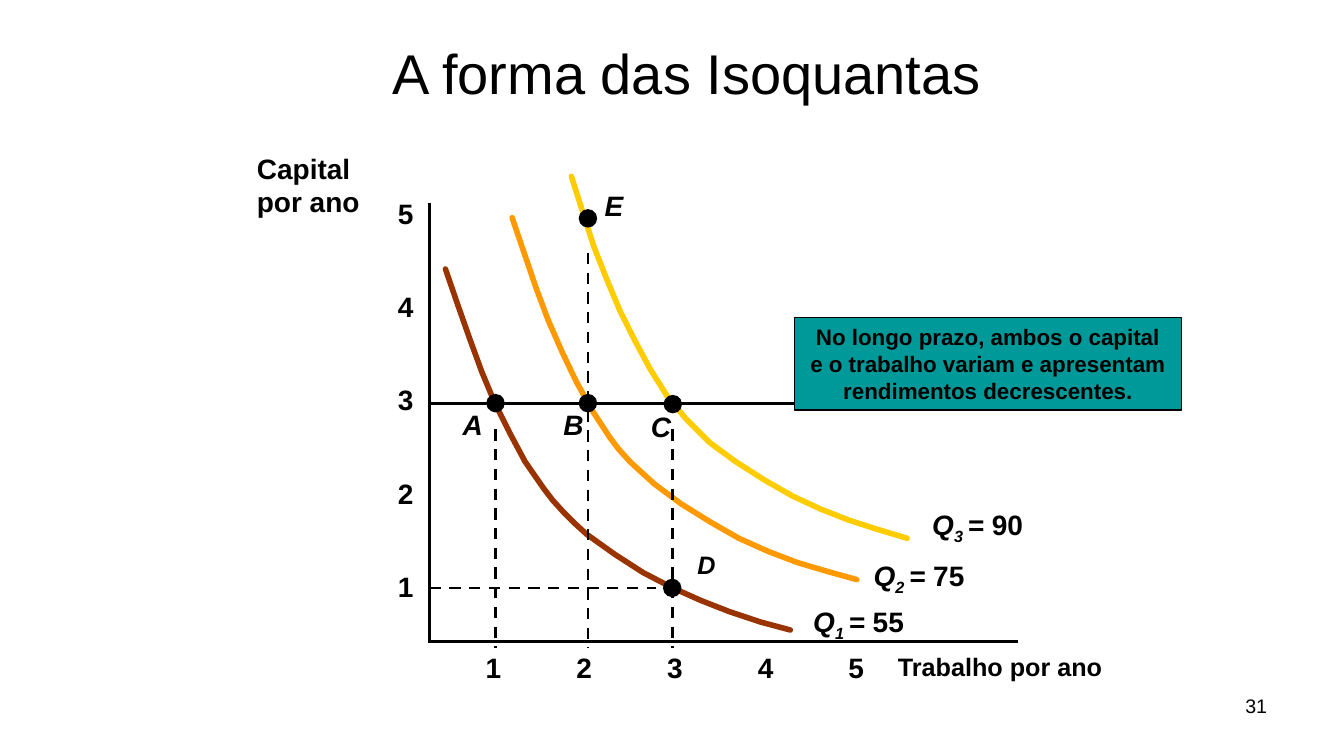
from dataclasses import dataclass

from pptx import Presentation
from pptx.dml.color import RGBColor
from pptx.enum.dml import MSO_LINE
from pptx.enum.shapes import MSO_CONNECTOR, MSO_SHAPE
from pptx.enum.text import MSO_ANCHOR, MSO_AUTO_SIZE, PP_ALIGN
from pptx.oxml.ns import qn
from pptx.util import Pt
from lxml import etree

DASH = MSO_LINE.DASH
STRAIGHT = MSO_CONNECTOR.STRAIGHT
RECT, OVAL = MSO_SHAPE.RECTANGLE, MSO_SHAPE.OVAL
TOP, MIDDLE, BOTTOM = MSO_ANCHOR.TOP, MSO_ANCHOR.MIDDLE, MSO_ANCHOR.BOTTOM
LEFT, CENTER, RIGHT = PP_ALIGN.LEFT, PP_ALIGN.CENTER, PP_ALIGN.RIGHT
GROW, FIXED = MSO_AUTO_SIZE.SHAPE_TO_FIT_TEXT, MSO_AUTO_SIZE.NONE


@dataclass(frozen=True)
class Theme:
    font: str = "Arial"
    ink: str = "000000"
    note: str = "009999"
    brown: str = "993300"
    orange: str = "FF9900"
    yellow: str = "FFCC00"
    title: int = 40
    label: int = 20
    minor: int = 18
    body: int = 16
    page: int = 14
    thin: int = 1
    rule: int = 2
    curve: int = 4


def color(code):
    return RGBColor.from_string(code)


class Painter:
    def __init__(self, slide, theme):
        self.shapes = slide.shapes
        self.theme = theme

    def run(self, par, text, size=None, bold=True, italic=False, base=0):
        """Append formatted text; base is the baseline shift in percent."""
        run = par.add_run()
        run.text = text
        font = run.font
        font.name = self.theme.font
        font.size = Pt(size or self.theme.label)
        font.bold, font.italic = bold, italic
        font.color.rgb = color(self.theme.ink)
        if base:
            run._r.get_or_add_rPr().set("baseline", str(base * 1000))

    def put(self, shape, text, align=LEFT, anchor=TOP, wrap=False, **form):
        """Fill a shape; text is a string or a list of (string, format) runs."""
        frame = shape.text_frame
        frame.word_wrap = wrap
        frame.auto_size = FIXED if wrap else GROW
        frame.vertical_anchor = anchor
        rows = text.split("\n") if isinstance(text, str) else [text]
        for num, row in enumerate(rows):
            par = frame.add_paragraph() if num else frame.paragraphs[0]
            par.alignment = align
            parts = [(row, {})] if isinstance(row, str) else row
            for part, extra in parts:
                self.run(par, part, **{**form, **extra})

    def label(self, text, x, y, w, h=31, **form):
        box = self.shapes.add_textbox(Pt(x), Pt(y), Pt(w), Pt(h))
        self.put(box, text, **form)

    def stroke(self, line, code, width):
        line.color.rgb = color(code)
        line.width = Pt(width)

    def shape(self, kind, x, y, w, h, fill):
        item = self.shapes.add_shape(kind, Pt(x), Pt(y), Pt(w), Pt(h))
        item.shadow.inherit = False
        item.fill.solid()
        item.fill.fore_color.rgb = color(fill)
        self.stroke(item.line, self.theme.ink, self.theme.thin)
        return item

    def dot(self, x, y, r=6.1):
        self.shape(OVAL, x - r, y - r, 2 * r, 2 * r, self.theme.ink)

    def line(self, x1, y1, x2, y2, dash=False):
        item = self.shapes.add_connector(STRAIGHT, Pt(x1), Pt(y1), Pt(x2), Pt(y2))
        self.stroke(item.line, self.theme.ink, self.theme.rule)
        if dash:
            item.line.dash_style = DASH
        etree.SubElement(item._element.spPr, qn("a:effectLst"))

    def curve(self, points, code):
        first, *rest = [(Pt(x), Pt(y)) for x, y in points]
        trace = self.shapes.build_freeform(*first)
        trace.add_line_segments(rest, close=False)
        item = trace.convert_to_shape()
        item.shadow.inherit = False
        item.fill.background()
        self.stroke(item.line, code, self.theme.curve)
        item.line._get_or_add_ln().set("cap", "rnd")


THEME = Theme()

# Colour, index, output, label corner, curve points
CURVES = [
    (THEME.orange, "2", "75", (617, 395.3), [
        (365.8, 155.5), (374.4, 180.7), (383, 205.9), (391.7, 229), (401.8, 252),
        (411.8, 272.9), (423.4, 293.8), (435.6, 312.5), (442.1, 321.1),
        (450, 329.8), (458.6, 337.7), (467.3, 345.6), (486.7, 360), (507.6, 373),
        (527.8, 384.5), (548.6, 393.8), (569.5, 401.8), (591.1, 408.2), (612, 414)]),
    (THEME.brown, "1", "55", (573.8, 428.4), [
        (318.2, 192.2), (326.9, 217.4), (335.5, 241.9), (344.2, 265.7), (353.5, 288),
        (364.3, 309.6), (375.1, 329.8), (388.1, 348.5), (394.6, 357.1),
        (402.5, 365.8), (410.4, 373.7), (419, 381.6), (439.2, 396), (459.4, 409),
        (480.2, 419.8), (501.1, 429.1), (521.3, 437), (542.9, 444.2), (564.5, 450)]),
    (THEME.yellow, "3", "90", (658.8, 359.3), [
        (408.2, 126), (416.2, 151.2), (424.1, 175.7), (433.4, 199.4), (442.8, 221.8),
        (453.6, 243.4), (464.4, 263.5), (476.6, 283), (490.3, 299.5),
        (506.9, 316.1), (525.6, 329.8), (545.8, 342.7), (565.9, 354.2),
        (586.1, 363.6), (606.2, 371.5), (626.4, 378), (648, 384.5)]),
]

# Name, dot centre, label corner, label size
MARKS = [
    ("A", (354, 288), (323.3, 287.3), THEME.label),
    ("B", (420, 288), (395.3, 287.3), THEME.label),
    ("C", (480.6, 288.7), (457.9, 288.7), THEME.label),
    ("D", (480.2, 420), (491, 388.8), THEME.minor),
    ("E", (420, 156), (424.8, 131), THEME.label),
]

NOTE = ("No longo prazo, ambos o capital\n"
        "e o trabalho variam e apresentam\n"
        "rendimentos decrescentes.")


def axes(art):
    axis_x, axis_y = 306.9, 458
    art.line(axis_x, 144.7, axis_x, 459.4)
    art.line(axis_x, axis_y, 727.2, axis_y)
    for tick in range(1, 6):
        art.label(str(tick), 277.2, 469.8 - 66.6 * tick, 26)
        art.label(str(tick), 275 + 64.8 * tick, 460.8, 26)
    art.label("Capital\npor ano", 176.4, 104.4, 88.6, 55.4)
    art.label("Trabalho por ano", 634.3, 461.5, 161.3, 28.8, size=THEME.minor)


def guides(art):
    art.line(306.9, 288, 568, 288)
    art.line(306.9, 420, 468.7, 420, dash=True)
    for x, top in ((354, 306.7), (420, 180.7), (480.2, 306.7)):
        art.line(x, top, x, 463, dash=True)


def main():
    deck = Presentation()
    deck.slide_width, deck.slide_height = Pt(960), Pt(540)
    art = Painter(deck.slides.add_slide(deck.slide_layouts[6]), THEME)

    art.label("A forma das Isoquantas", 163.4, 18, 653.8, 61.2, size=THEME.title,
              bold=False, align=CENTER, anchor=BOTTOM, wrap=True)
    art.label("31", 688.3, 491.8, 223.9, 37.4, size=THEME.page,
              bold=False, align=RIGHT, wrap=True)
    axes(art)
    note = art.shape(RECT, 567.4, 226.8, 276.5, 66, THEME.note)
    art.put(note, NOTE, size=THEME.body, align=CENTER, anchor=MIDDLE)

    for code, index, output, corner, points in CURVES:
        art.curve(points, code)
        parts = [("Q", {}), (index + " ", {"base": -25}), ("= ", {}),
                 (output, {"italic": False})]
        art.label(parts, *corner, 81.4, italic=True)

    guides(art)
    for name, center, corner, size in MARKS:
        art.dot(*center)
        art.label(name, *corner, 28.5, size=size, italic=True)
    deck.save("out.pptx")


if __name__ == "__main__":
    main()
